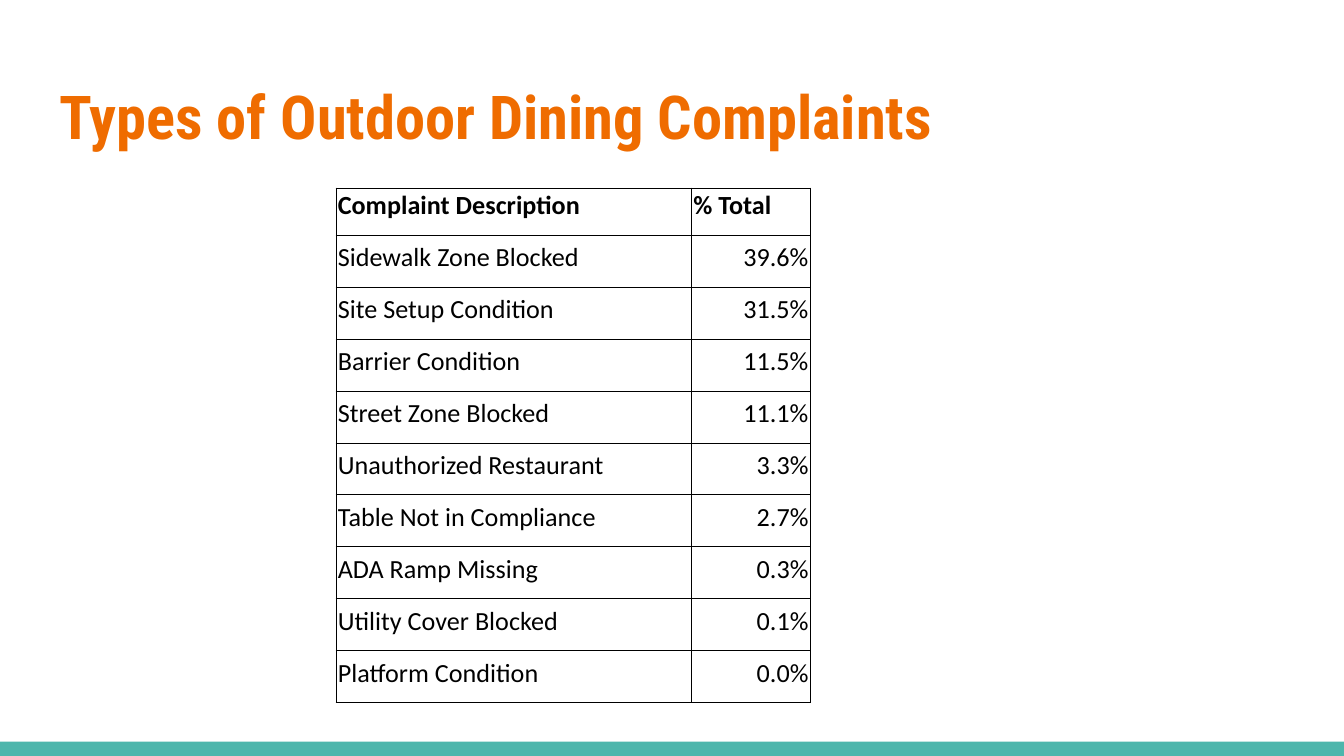
from lxml.etree import SubElement
from pptx import Presentation
from pptx.dml.color import RGBColor
from pptx.enum.shapes import MSO_SHAPE as Shape
from pptx.enum.text import MSO_ANCHOR as Anchor, PP_ALIGN as Align
from pptx.oxml.ns import qn
from pptx.util import Inches, Pt

ROWS = [
    ("Complaint Description", "% Total"),
    ("Sidewalk Zone Blocked", "39.6%"),
    ("Site Setup Condition", "31.5%"),
    ("Barrier Condition", "11.5%"),
    ("Street Zone Blocked", "11.1%"),
    ("Unauthorized Restaurant", "3.3%"),
    ("Table Not in Compliance", "2.7%"),
    ("ADA Ramp Missing", "0.3%"),
    ("Utility Cover Blocked", "0.1%"),
    ("Platform Condition", "0.0%"),
]


def color(code):
    return RGBColor.from_string(code)


def write(frame, text, font, size, ink="000000", bold=False, align=Align.LEFT, gap=1):
    par = frame.paragraphs[0]
    par.alignment, par.line_spacing = align, gap
    run = par.add_run()
    run.text = text
    face = run.font
    face.name, face.size, face.bold = font, Pt(size), bold
    face.color.rgb = color(ink)


def border(cell, ink, width):
    """Draw all four edges; they must come before the cell's fill."""
    props = cell._tc.get_or_add_tcPr()
    for spot, side in enumerate(("lnL", "lnR", "lnT", "lnB")):
        line = SubElement(props, qn(f"a:{side}"), w=str(Pt(width)))
        fill = SubElement(line, qn("a:solidFill"))
        SubElement(fill, qn("a:srgbClr"), val=ink)
        props.insert(spot, line)


class Page:
    """Style and current slide; places are on a grid of 100 columns and rows."""

    head, body = "Roboto Condensed", "Calibri"
    accent, band, ink = "EF6C00", "4DB6AC", "000000"

    def __init__(self, deck):
        self.col, self.row = deck.slide_width / 100, deck.slide_height / 100
        self.slide = deck.slides.add_slide(deck.slide_layouts[5])

    def area(self, x, y, w, h):
        return [round(v) for v in (x * self.col, y * self.row, w * self.col, h * self.row)]

    def bar(self, *place):
        bar = self.slide.shapes.add_shape(Shape.RECTANGLE, *self.area(*place))
        bar.shadow.inherit = False
        bar.fill.solid()
        bar.fill.fore_color.rgb = color(self.band)
        bar.line.fill.background()

    def title(self, text, *place):
        box = self.slide.shapes.title
        box.left, box.top, box.width, box.height = self.area(*place)
        frame = box.text_frame
        frame.margin_left = frame.margin_right = Inches(0.1)
        frame.margin_top = frame.margin_bottom = Inches(0.1)
        frame.vertical_anchor = Anchor.TOP
        write(frame, text, self.head, 32.4, self.accent, bold=True)

    def table(self, rows, x, y, cols, step):
        place = self.area(x, y, sum(cols), step * len(rows))
        grid = self.slide.shapes.add_table(len(rows), len(cols), *place).table
        grid.first_row = grid.horz_banding = False
        for col, width in zip(grid.columns, cols):
            col.width = round(width * self.col)
        for r, row in enumerate(rows):
            for c, text in enumerate(row):
                self.cell(grid.cell(r, c), text, top=r == 0, value=r > 0 and c > 0)

    def cell(self, cell, text, top, value):
        cell.margin_left = cell.margin_right = cell.margin_top = Pt(1)
        cell.margin_bottom = Inches(0.1)
        cell.vertical_anchor = Anchor.BOTTOM
        cell.fill.background()
        border(cell, self.ink, 0.5)
        write(cell.text_frame, text, self.body, 14, self.ink, bold=top,
              align=Align.RIGHT if value else Align.LEFT, gap=1.15 if value else 1)


def main():
    deck = Presentation()
    deck.slide_width = Inches(10)
    deck.slide_height = deck.slide_width * 9 // 16
    page = Page(deck)
    page.bar(0, 98.1, 100, 1.9)
    page.title("Types of Outdoor Dining Complaints", 3.4, 8.65, 93.2, 13.6)
    page.table(ROWS, 25, 24.89, (26.45, 8.85), 4.62)
    deck.save("out.pptx")


if __name__ == "__main__":
    main()
